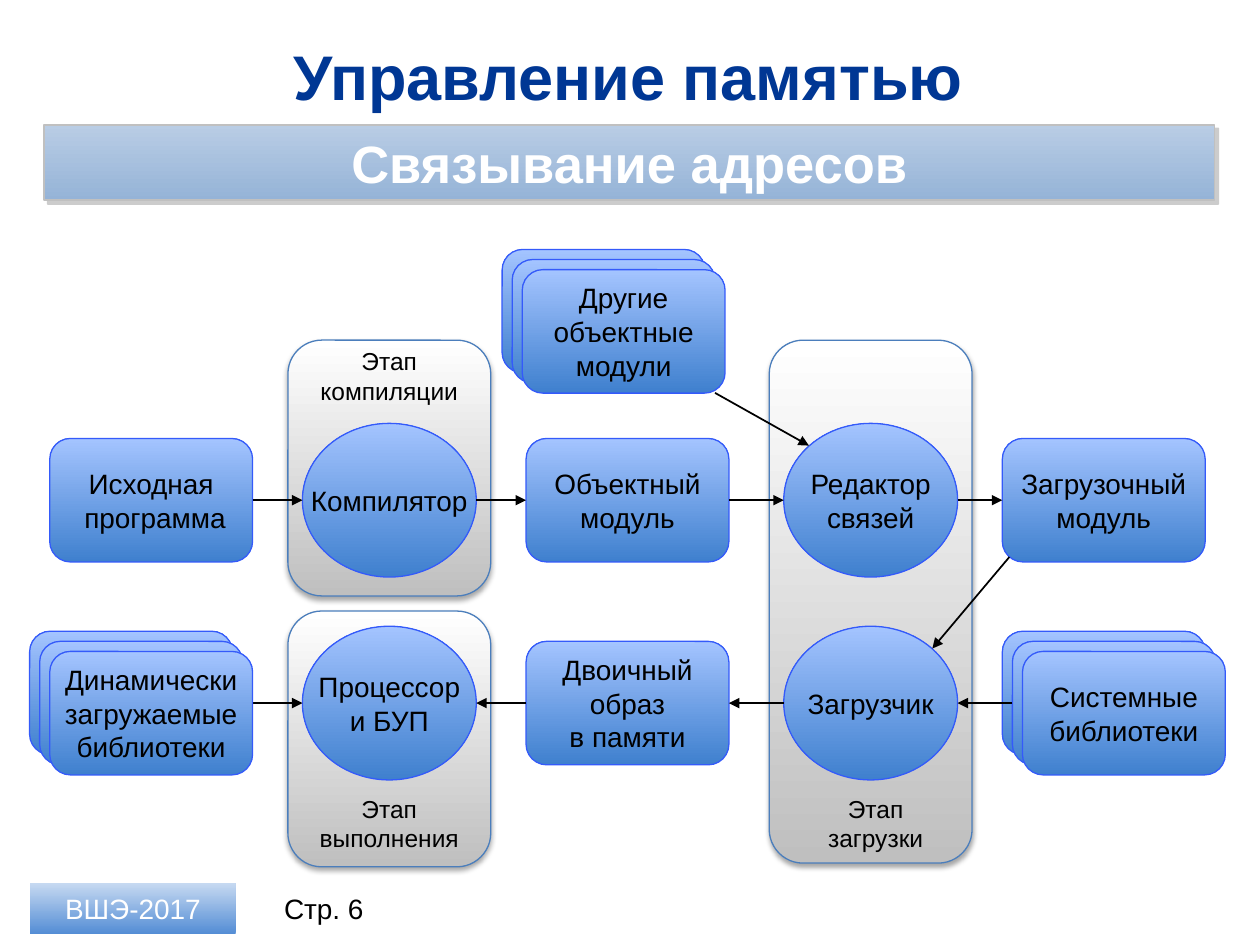
from dataclasses import dataclass

from lxml import etree
from pptx import Presentation
from pptx.dml.color import RGBColor
from pptx.enum.shapes import MSO_CONNECTOR, MSO_SHAPE
from pptx.enum.text import MSO_ANCHOR, PP_ALIGN
from pptx.oxml.ns import qn
from pptx.util import Inches, Pt

RECTANGLE = MSO_SHAPE.RECTANGLE
ROUNDED = MSO_SHAPE.ROUNDED_RECTANGLE
OVAL = MSO_SHAPE.OVAL
STRAIGHT = MSO_CONNECTOR.STRAIGHT
CENTER = PP_ALIGN.CENTER
MIDDLE, TOP = MSO_ANCHOR.MIDDLE, MSO_ANCHOR.TOP

FONT = "Arial"
BLACK, WHITE = "000000", "FFFFFF"
COLUMNS = (1.2, 3.09, 4.98, 6.91, 8.76)
ROWS = (2.55, 3.97, 5.58)
CARD_SIZE = (1.61, 0.98)
OVAL_SIZE = (1.38, 1.22)
STACK_STEP = 0.08
DIAGONAL = 0.71
LEFT, RIGHT = (-1, 0), (1, 0)
SIDE_SITES = {LEFT: 1, RIGHT: 3}


@dataclass(frozen=True)
class Area:
    left: float
    top: float
    width: float
    height: float


@dataclass(frozen=True)
class Node:
    name: str
    text: str
    column: int
    row: int
    kind: int = ROUNDED
    layers: int = 1
    shift: float = 0


@dataclass(frozen=True)
class Arrow:
    start: str
    start_side: tuple
    end: str
    end_side: tuple


@dataclass(frozen=True)
class Stage:
    text: str
    column: int
    top: float
    height: float
    label_top: float
    label_shift: float = 0


STAGES = (
    Stage("Этап\nзагрузки", 3, 2.7, 4.15, 6.25, 0.04),
    Stage("Этап\nвыполнения", 1, 4.85, 2.03, 6.25),
    Stage("Этап\nкомпиляции", 1, 2.7, 2.03, 2.7),
)
NODES = (
    Node("source", "Исходная\n программа", 0, 1),
    Node("compiler", "Компилятор", 1, 1, OVAL),
    Node("object", "Объектный\nмодуль", 2, 1),
    Node("others", "Другие\nобъектные\nмодули", 2, 0, layers=3, shift=-0.11),
    Node("linker", "Редактор\nсвязей", 3, 1, OVAL),
    Node("load module", "Загрузочный\nмодуль", 4, 1),
    Node("system", "Системные\nбиблиотеки", 4, 2, layers=3, shift=STACK_STEP),
    Node("loader", "Загрузчик", 3, 2, OVAL),
    Node("image", "Двоичный\nобраз\nв памяти", 2, 2),
    Node("dynamic", "Динамически\nзагружаемые\nбиблиотеки", 0, 2, layers=3, shift=-STACK_STEP),
    Node("processor", "Процессор\nи БУП", 1, 2, OVAL),
)
ARROWS = (
    Arrow("source", RIGHT, "compiler", LEFT),
    Arrow("compiler", RIGHT, "object", LEFT),
    Arrow("object", RIGHT, "linker", LEFT),
    Arrow("others", (1, 1.16), "linker", (-DIAGONAL, -DIAGONAL)),
    Arrow("linker", RIGHT, "load module", LEFT),
    Arrow("load module", (-0.93, 0.92), "loader", (DIAGONAL, -DIAGONAL)),
    Arrow("system", LEFT, "loader", RIGHT),
    Arrow("loader", LEFT, "image", RIGHT),
    Arrow("image", LEFT, "processor", RIGHT),
    Arrow("dynamic", RIGHT, "processor", LEFT),
)


def color(value: str) -> RGBColor:
    """Turn a hex string into a colour."""
    return RGBColor.from_string(value)


def place(shape, area: Area) -> None:
    """Move and size a shape in inches."""
    shape.left, shape.top = Inches(area.left), Inches(area.top)
    shape.width, shape.height = Inches(area.width), Inches(area.height)


def write(shape, text: str, size: float, ink: str = BLACK, bold: bool = False,
          wrap: bool = True, anchor=MIDDLE) -> None:
    """Write centred text with line breaks into a shape."""
    frame = shape.text_frame
    frame.word_wrap, frame.vertical_anchor = wrap, anchor
    para = frame.paragraphs[0]
    para.alignment = CENTER
    for index, line in enumerate(text.split("\n")):
        if index:
            para.add_line_break()
        span = para.add_run()
        span.text = line
        font = span.font
        font.name, font.size, font.bold = FONT, Pt(size), bold
        font.color.rgb = color(ink)


def add_box(page, kind, area: Area, upper: str, lower: str, edge: str = "", weight: float = 0.75):
    """Add a shape shaded from its upper to its lower colour."""
    box = page.shapes.add_shape(kind, 0, 0, 0, 0)
    place(box, area)
    box.shadow.inherit = False
    box.fill.gradient()
    box.fill.gradient_angle = 90
    for stop, value in zip(box.fill.gradient_stops, (lower, upper)):
        stop.color.rgb = color(value)
    if edge:
        box.line.color.rgb = color(edge)
        box.line.width = Pt(weight)
    else:
        box.line.fill.background()
    return box


def add_shadow(box, value: str, opacity: int, blur: float, distance: float, angle: int) -> None:
    """Give a shape an outer shadow."""
    effects = box._element.spPr.find(qn("a:effectLst"))
    shadow = etree.SubElement(effects, qn("a:outerShdw"), blurRad=str(Pt(blur)),
                              dist=str(Pt(distance)), dir=str(angle * 60000), rotWithShape="0")
    tint = etree.SubElement(shadow, qn("a:srgbClr"), val=value)
    etree.SubElement(tint, qn("a:alpha"), val=str(opacity * 1000))


def add_label(page, text: str, area: Area, size: float, anchor=MIDDLE) -> None:
    """Add a plain text box."""
    box = page.shapes.add_textbox(0, 0, 0, 0)
    place(box, area)
    write(box, text, size, anchor=anchor)


def add_stage(page, stage: Stage) -> None:
    """Add the grey panel of a stage."""
    width = CARD_SIZE[0]
    area = Area(COLUMNS[stage.column] - width / 2, stage.top, width, stage.height)
    panel = add_box(page, ROUNDED, area, WHITE, "BFBFBF", "4B7EBC")
    add_shadow(panel, BLACK, 35, 3.1, 1.8, 90)


def add_layer(page, node: Node, layer: int):
    """Add one card of a node, with its text on the front card."""
    width, height = OVAL_SIZE if node.kind == OVAL else CARD_SIZE
    offset = (layer - node.layers // 2) * STACK_STEP
    area = Area(COLUMNS[node.column] + node.shift + offset - width / 2,
                ROWS[node.row] + offset - height / 2, width, height)
    card = add_box(page, node.kind, area, "A4C4FF", "3F80CE", "345AFA")
    if layer == node.layers - 1:
        write(card, node.text, 16, wrap=False)
    return card


def side_point(shape, side: tuple) -> tuple:
    """Find a point from the centre in shares of half the shape's size."""
    return (int(shape.left + shape.width * (1 + side[0]) / 2),
            int(shape.top + shape.height * (1 + side[1]) / 2))


def add_arrow(page, arrow: Arrow, cards: dict) -> None:
    """Draw an arrow and join it to the sides of cards."""
    start, end = cards[arrow.start], cards[arrow.end]
    line = page.shapes.add_connector(STRAIGHT, *side_point(start, arrow.start_side),
                                     *side_point(end, arrow.end_side))
    for join, shape, side in ((line.begin_connect, start, arrow.start_side),
                              (line.end_connect, end, arrow.end_side)):
        if shape.auto_shape_type == ROUNDED and side in SIDE_SITES:
            join(shape, SIDE_SITES[side])
    line.line.color.rgb = color(BLACK)
    line.line.width = Pt(1)
    properties = line._element.spPr
    etree.SubElement(properties.find(qn("a:ln")), qn("a:tailEnd"), type="triangle")
    etree.SubElement(properties, qn("a:effectLst"))


def add_diagram(page) -> None:
    """Draw stages, back cards, arrows and front cards in that order."""
    for stage in STAGES:
        add_stage(page, stage)
    cards = {}
    for node in NODES:
        for layer in range(max(1, node.layers - 1)):
            cards[node.name] = add_layer(page, node, layer)
    for arrow in ARROWS:
        add_arrow(page, arrow, cards)
    for node in NODES:
        if node.layers > 1:
            add_layer(page, node, node.layers - 1)
    for stage in STAGES:
        left = COLUMNS[stage.column] + stage.label_shift - 0.73
        add_label(page, stage.text, Area(left, stage.label_top, 1.46, 0.57), 14, TOP)


def main() -> None:
    """Build and save the slide."""
    deck = Presentation()
    deck.slide_width, deck.slide_height = Inches(10), Inches(7.5)
    page = deck.slides.add_slide(deck.slide_layouts[5])
    place(page.shapes.title, Area(0.24, 0.26, 9.49, 0.68))
    write(page.shapes.title, "Управление памятью", 36, "003794", True)
    banner = add_box(page, RECTANGLE, Area(0.35, 0.99, 9.29, 0.6), "B9CDE5", "95B3D7", "C0C0C0", 1)
    add_shadow(banner, "808080", 40, 0, 3, 45)
    write(banner, "Связывание адресов", 30, WHITE, True)
    add_diagram(page)
    badge = add_box(page, RECTANGLE, Area(0.24, 7.01, 1.63, 0.4), "C6D9F1", "558ED5")
    write(badge, "ВШЭ-2017", 16, WHITE)
    add_label(page, "Стр. 6", Area(2.03, 7.01, 1.08, 0.4), 16)
    deck.save("out.pptx")


if __name__ == "__main__":
    main()
